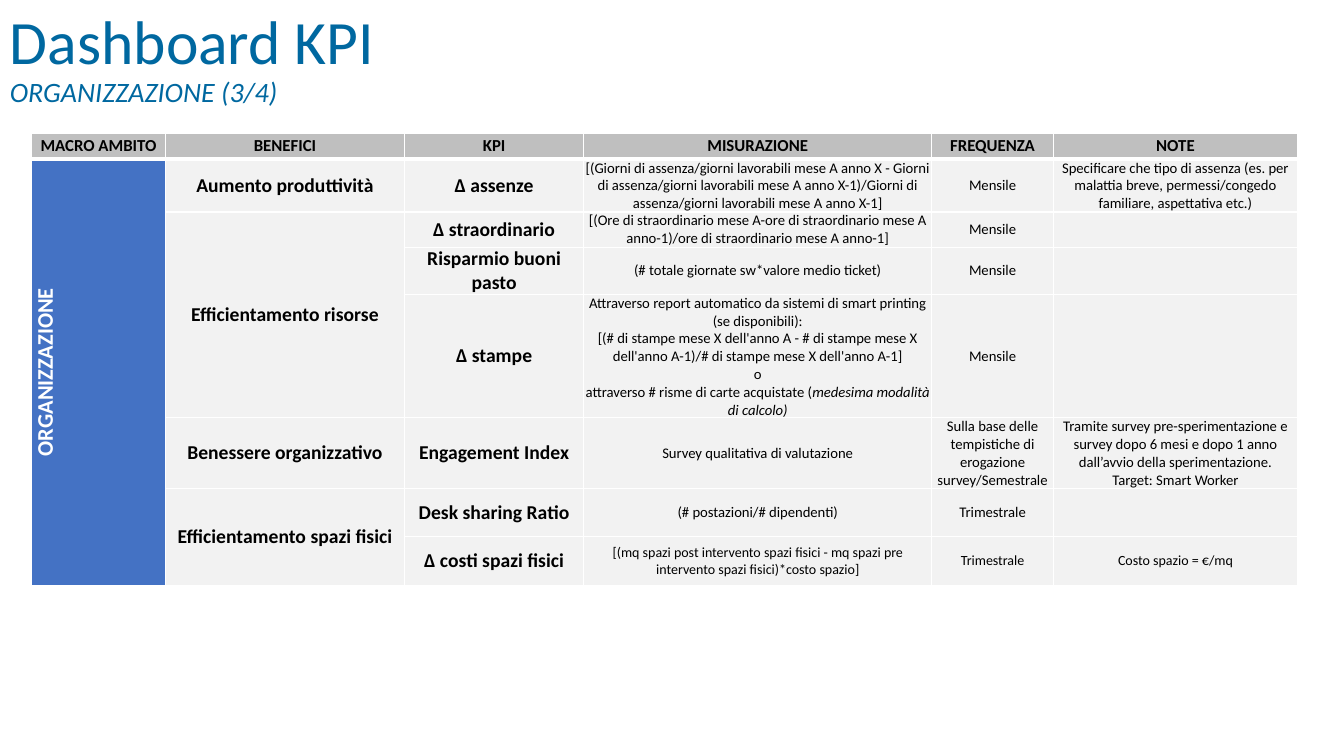
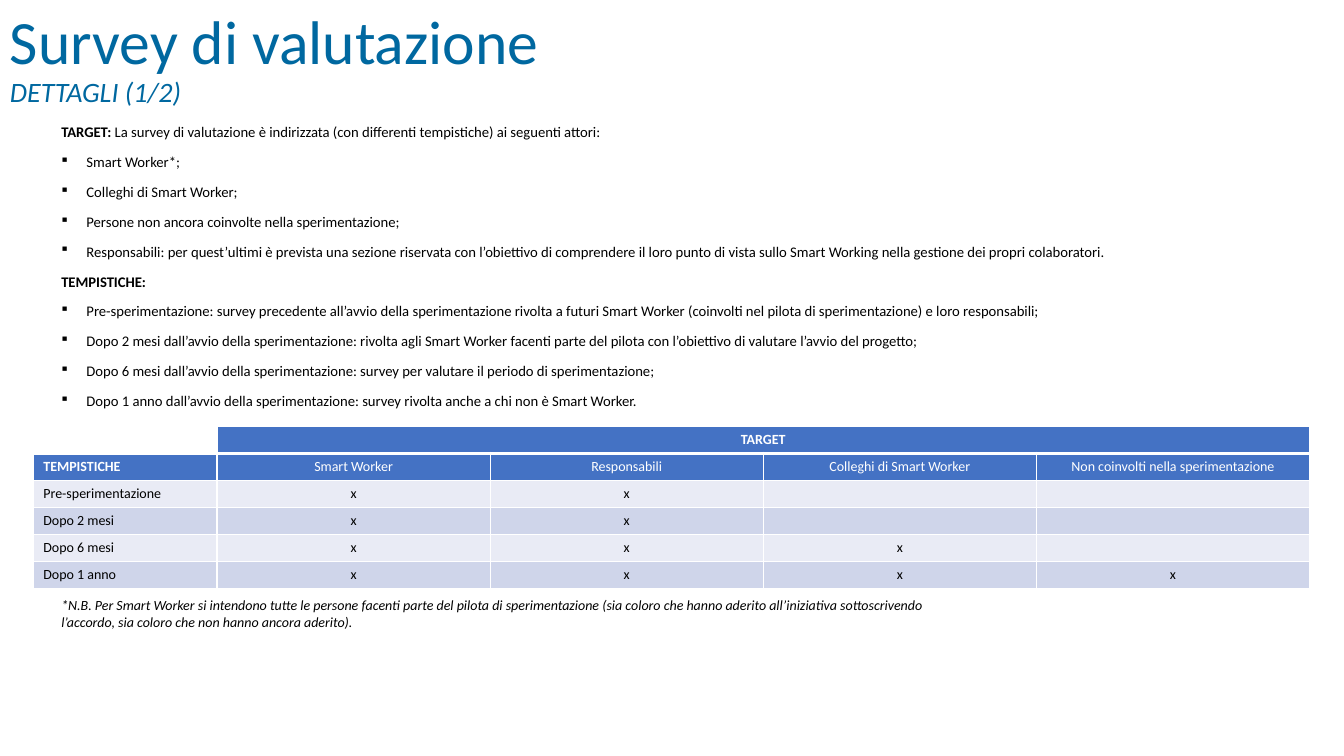
import pptx
import pptx.dml.color
import pptx.enum.text
import pptx.oxml.ns
import pptx.util
from lxml import etree

Pt = pptx.util.Pt
RGBColor = pptx.dml.color.RGBColor
ALIGN = pptx.enum.text.PP_ALIGN
ANCHOR = pptx.enum.text.MSO_ANCHOR
qn = pptx.oxml.ns.qn

FONT = "Calibri"
TITLE_BLUE = RGBColor(0x00, 0x68, 0xA0)
BLUE = RGBColor(0x44, 0x72, 0xC4)
BLACK = RGBColor(0x00, 0x00, 0x00)
WHITE = RGBColor(0xFF, 0xFF, 0xFF)
HEADER_GREY = RGBColor(0xBF, 0xBF, 0xBF)
CELL_GREY = RGBColor(0xF2, 0xF2, 0xF2)
BANDS = [RGBColor(0xE9, 0xEB, 0xF5), RGBColor(0xCF, 0xD5, 0xEA)]

# A text is a list of paragraphs, a paragraph a list of (words, font changes).
KPI_HEADERS = ["MACRO AMBITO", "BENEFICI", "KPI", "MISURAZIONE", "FREQUENZA", "NOTE"]
KPI_COLUMNS = [95.8, 170.6, 128.2, 248.4, 87.1, 174.2]
KPI_ROWS = [18.7, 36, 23.8, 31.7, 83.5, 47.5, 34.6, 34.6]
MACRO_AREA = "ORGANIZZAZIONE"
BENEFITS = [
    ("Aumento produttività", [
        ("Δ assenze",
         "[(Giorni di assenza/giorni lavorabili mese A anno X - Giorni di assenza/giorni "
         "lavorabili mese A anno X-1)/Giorni di assenza/giorni lavorabili mese A anno X-1]",
         "Mensile",
         "Specificare che tipo di assenza (es. per malattia breve, permessi/congedo "
         "familiare, aspettativa etc.)"),
    ]),
    ("Efficientamento risorse", [
        ("Δ straordinario",
         "[(Ore di straordinario mese A-ore di straordinario mese A anno-1)/ore di "
         "straordinario mese A anno-1]",
         "Mensile", ""),
        ("Risparmio buoni pasto", "(# totale giornate sw*valore medio ticket)", "Mensile", ""),
        ("Δ stampe",
         [[("Attraverso report automatico da sistemi di smart printing (se disponibili):", {})],
          [("[(# di stampe mese X dell'anno A - # di stampe mese X dell'anno A-1)/# di stampe "
            "mese X dell'anno A-1]", {})],
          [("o", {})],
          [("attraverso # risme di carte acquistate (", {}),
           ("medesima modalità di calcolo)", {"italic": True})]],
         "Mensile", ""),
    ]),
    ("Benessere organizzativo", [
        ("Engagement Index", "Survey qualitativa di valutazione",
         "Sulla base delle tempistiche di erogazione survey/Semestrale",
         [[("Tramite survey pre-sperimentazione e survey dopo 6 mesi e dopo 1 anno "
            "dall’avvio della sperimentazione.", {})],
          [("Target: Smart Worker", {})]]),
    ]),
    ("Efficientamento spazi fisici", [
        ("Desk sharing Ratio", "(# postazioni/# dipendenti)", "Trimestrale", ""),
        ("Δ costi spazi fisici",
         "[(mq spazi post intervento spazi fisici - mq spazi pre intervento spazi "
         "fisici)*costo spazio]",
         "Trimestrale", "Costo spazio = €/mq"),
    ]),
]

SURVEY_SECTIONS = [
    ([("TARGET: ", {"bold": True}),
      ("La survey di valutazione è indirizzata (con differenti tempistiche) ai seguenti "
       "attori:", {})],
     ["Smart Worker*;",
      "Colleghi di Smart Worker;",
      "Persone non ancora coinvolte nella sperimentazione;",
      "Responsabili: per quest’ultimi è prevista una sezione riservata con l’obiettivo di "
      "comprendere il loro punto di vista sullo Smart Working nella gestione dei propri "
      "colaboratori."]),
    ([("TEMPISTICHE:", {"bold": True})],
     ["Pre-sperimentazione: survey precedente all’avvio della sperimentazione rivolta a futuri "
      "Smart Worker (coinvolti nel pilota di sperimentazione) e loro responsabili;",
      "Dopo 2 mesi dall’avvio della sperimentazione: rivolta agli Smart Worker facenti parte "
      "del pilota con l’obiettivo di valutare l’avvio del progetto;",
      "Dopo 6 mesi dall’avvio della sperimentazione: survey per valutare il periodo di "
      "sperimentazione;",
      "Dopo 1 anno dall’avvio della sperimentazione: survey rivolta anche a chi non è Smart "
      "Worker."]),
]
TARGETS = ["Smart Worker", "Responsabili", "Colleghi di Smart Worker",
           "Non coinvolti nella sperimentazione"]
TARGETS_REACHED = [("Pre-sperimentazione", 2), ("Dopo 2 mesi", 2),
                   ("Dopo 6 mesi", 3), ("Dopo 1 anno", 4)]
SURVEY_COLUMNS = [131.2] + [195.1] * len(TARGETS)
SURVEY_ROWS = [19.2] * (len(TARGETS_REACHED) + 2)
FOOTNOTE = ("*N.B. Per Smart Worker si intendono tutte le persone facenti parte del pilota di "
            "sperimentazione (sia coloro che hanno aderito all’iniziativa sottoscrivendo "
            "l’accordo, sia coloro che non hanno ancora aderito).")


def add_run(paragraph, words, size, color=BLACK, bold=False, italic=False):
    run = paragraph.add_run()
    run.text = words
    font = run.font
    font.name, font.size, font.bold, font.italic = FONT, Pt(size), bold, italic
    font.color.rgb = color


def write(frame, text, align=ALIGN.LEFT, **style):
    """Fill a frame with a string or with a list of paragraphs."""
    paragraphs = [[(text, {})]] if isinstance(text, str) else text
    for index, runs in enumerate(paragraphs):
        paragraph = frame.add_paragraph() if index else frame.paragraphs[0]
        paragraph.alignment = align
        for words, changes in runs:
            if words:
                add_run(paragraph, words, **{**style, **changes})
            else:
                etree.SubElement(paragraph._p, qn("a:endParaRPr"), sz=str(int(style["size"] * 100)))


def add_text_box(slide, left, top, width, height, anchor=ANCHOR.TOP):
    frame = slide.shapes.add_textbox(Pt(left), Pt(top), Pt(width), Pt(height)).text_frame
    frame.word_wrap = True
    frame.vertical_anchor = anchor
    return frame


def add_titled_slide(deck, title, subtitle):
    slide = deck.slides.add_slide(deck.slide_layouts[6])
    heading = add_text_box(slide, 0, -9.4, 828, 104.4, ANCHOR.MIDDLE).paragraphs[0]
    heading.line_spacing = 0.9
    add_run(heading, title, 44, TITLE_BLUE)
    heading.add_line_break()
    add_run(heading, subtitle, 20, TITLE_BLUE, italic=True)
    return slide


def add_bullet(paragraph):
    properties = paragraph._p.get_or_add_pPr()
    properties.set("marL", str(Pt(18)))
    properties.set("indent", str(-Pt(18)))
    etree.SubElement(properties, qn("a:buFont"), typeface="Wingdings")
    etree.SubElement(properties, qn("a:buChar"), char="§")


def add_white_border(cell, side, width):
    line = etree.SubElement(cell._tc.get_or_add_tcPr(), qn(f"a:ln{side}"), w=str(Pt(width)))
    fill = etree.SubElement(line, qn("a:solidFill"))
    etree.SubElement(fill, qn("a:srgbClr"), val=str(WHITE))


def add_grid(slide, left, top, columns, rows):
    """Add an unfilled table with white rules, the one under the first row thicker."""
    table = slide.shapes.add_table(len(rows), len(columns), Pt(left), Pt(top),
                                   Pt(sum(columns)), Pt(sum(rows))).table
    table.horz_banding = False
    for column, width in zip(table.columns, columns):
        column.width = Pt(width)
    for number, (row, height) in enumerate(zip(table.rows, rows)):
        row.height = Pt(height)
        for cell in row.cells:
            for side in "LRTB":
                under_header = (number, side) in [(0, "B"), (1, "T")]
                add_white_border(cell, side, 3 if under_header else 1)
            cell.fill.background()
    return table


def fill_cell(cell, text, fill, align=ALIGN.CENTER, **style):
    cell.fill.solid()
    cell.fill.fore_color.rgb = fill
    cell.vertical_anchor = ANCHOR.MIDDLE
    write(cell.text_frame, text, align, **style)


def build_kpi_slide(deck):
    slide = add_titled_slide(deck, "Dashboard KPI", "ORGANIZZAZIONE (3/4)")
    table = add_grid(slide, 22.5, 95, KPI_COLUMNS, KPI_ROWS)
    for cell in table.iter_cells():
        cell.margin_left = cell.margin_right = cell.margin_top = cell.margin_bottom = 0
    for column, header in enumerate(KPI_HEADERS):
        fill_cell(table.cell(0, column), header, HEADER_GREY, size=12, bold=True)

    last_row = len(KPI_ROWS) - 1
    macro_area = table.cell(1, 0)
    macro_area.merge(table.cell(last_row, 0))
    fill_cell(macro_area, MACRO_AREA, BLUE, size=16, color=WHITE, bold=True)
    macro_area._tc.get_or_add_tcPr().set("vert", "vert270")

    row = 1
    for benefit, indicators in BENEFITS:
        benefit_cell = table.cell(row, 1)
        if len(indicators) > 1:
            benefit_cell.merge(table.cell(row + len(indicators) - 1, 1))
        fill_cell(benefit_cell, benefit, CELL_GREY, size=14, bold=True)
        for kpi, *details in indicators:
            fill_cell(table.cell(row, 2), kpi, CELL_GREY, size=14, bold=True)
            detail_size = 10 if row == last_row else 10.5
            for column, detail in enumerate(details, 3):
                fill_cell(table.cell(row, column), detail, CELL_GREY, size=detail_size)
            row += 1


def build_survey_slide(deck):
    slide = add_titled_slide(deck, "Survey di valutazione", "DETTAGLI (1/2)")
    body = add_text_box(slide, 36.7, 85.7, 895, 223.2)
    lines = []
    for lead, points in SURVEY_SECTIONS:
        lines.append((lead, False))
        lines += [([(point, {})], True) for point in points]
    write(body, [runs for runs, _ in lines], ALIGN.JUSTIFY, size=10.5)
    for paragraph, (_, bulleted) in zip(body.paragraphs, lines):
        paragraph.line_spacing = 0.9
        paragraph.space_before = Pt(10)
        if bulleted:
            add_bullet(paragraph)

    table = add_grid(slide, 23.8, 304.6, SURVEY_COLUMNS, SURVEY_ROWS)
    write(table.cell(0, 0).text_frame, "", size=10)
    target = table.cell(0, 1)
    target.merge(table.cell(0, len(TARGETS)))
    fill_cell(target, "TARGET", BLUE, size=10, color=WHITE, bold=True)
    fill_cell(table.cell(1, 0), "TEMPISTICHE", BLUE, ALIGN.LEFT, size=10, color=WHITE, bold=True)
    for column, name in enumerate(TARGETS, 1):
        fill_cell(table.cell(1, column), name, BLUE, size=10, color=WHITE)
    for index, (timing, reached) in enumerate(TARGETS_REACHED):
        band = BANDS[index % 2]
        fill_cell(table.cell(index + 2, 0), timing, band, ALIGN.LEFT, size=10)
        for column in range(1, len(TARGETS) + 1):
            mark = "x" if column <= reached else ""
            fill_cell(table.cell(index + 2, column), mark, band, size=10)

    write(add_text_box(slide, 36.7, 422.6, 655.2, 31.7), FOOTNOTE, size=10, italic=True)


def main():
    deck = pptx.Presentation()
    deck.slide_width, deck.slide_height = Pt(960), Pt(540)
    build_kpi_slide(deck)
    build_survey_slide(deck)
    deck.save("out.pptx")


if __name__ == "__main__":
    main()
